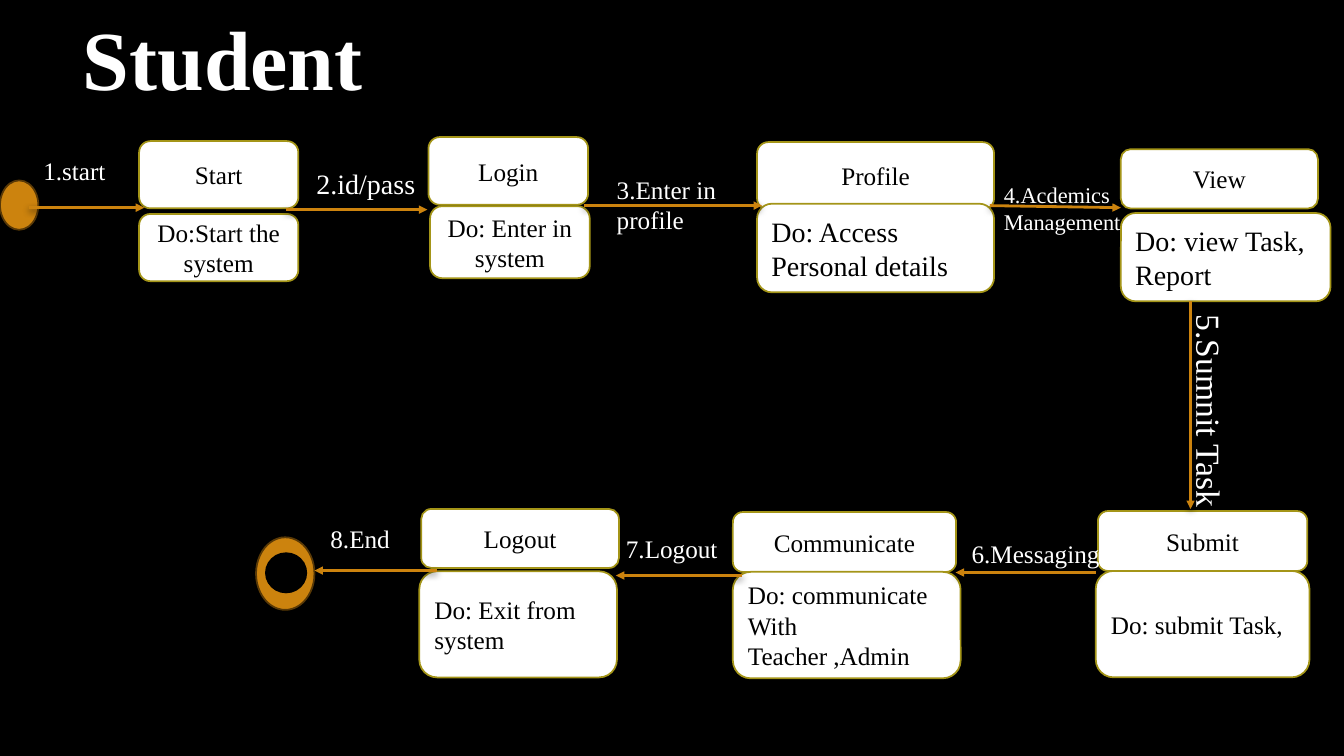
from lxml import etree
from pptx import Presentation, util as u
from pptx.dml.color import RGBColor
from pptx.enum import shapes, text
from pptx.oxml.ns import qn

BLACK = RGBColor(0x00, 0x00, 0x00)
WHITE = RGBColor(0xFF, 0xFF, 0xFF)
ORANGE = RGBColor(0xCC, 0x83, 0x0E)
BROWN = RGBColor(0x59, 0x39, 0x06)
OLIVE = RGBColor(0xA4, 0x95, 0x18)
FONT = "Times New Roman"
WIDTH, HEIGHT = u.Inches(13.333), u.Inches(7.5)
CENTER, LEFT = text.PP_ALIGN.CENTER, text.PP_ALIGN.LEFT
FULL = (0, 0, 1, 1)

# Boxes and points are percentages of the slide; parts are shares of their box.
STATES = [
    ("Start", "Do:Start the system", (10.35, 18.67, 11.85, 18.53),
     (0, 0, 1, 0.48), (0, 0.52, 1, 0.48), 18, CENTER),
    ("Login", "Do: Enter in system", (31.88, 18.13, 12, 18.67),
     (0, 0, 0.99, 0.48), (0.01, 0.49, 0.99, 0.51), 18, CENTER),
    ("Profile", "Do: Access Personal details", (56.33, 18.8, 17.63, 19.87),
     (0, 0, 1, 0.45), (0, 0.41, 1, 0.59), 20, LEFT),
    ("View", "Do: view Task, Report", (83.4, 19.73, 15.6, 20.13),
     (0, 0, 0.94, 0.39), (0, 0.42, 1, 0.58), 20, LEFT),
    ("Submit", "Do: submit Task,", (81.53, 67.6, 15.9, 22),
     (0.01, 0, 0.98, 0.36), (0, 0.36, 1, 0.64), 18, LEFT),
    ("Communicate", "Do: communicate With Teacher ,Admin", (54.53, 67.73, 16.95, 22),
     (0, 0, 0.98, 0.36), (0, 0.36, 1, 0.64), 18, LEFT),
    ("Logout", "Do: Exit from system", (31.2, 67.33, 14.85, 22.27),
     (0.01, 0, 0.99, 0.35), (0, 0.37, 0.99, 0.63), 18, LEFT),
]
TRANSITIONS = [
    ("1.start", (2.48, 19.87, 7.28, 7.73), 18, 0, (2.18, 27.47), (10.73, 27.47)),
    ("2.id/pass", (22.8, 21.33, 9.15, 5.87), 20, 0, (21.3, 27.73), (31.8, 27.73)),
    ("3.Enter in\nprofile", (45.15, 22.4, 16.8, 9.47), 18, 0, (43.43, 27.2), (56.7, 27.2)),
    ("4.Acdemics\nManagement", (73.95, 23.33, 19.8, 8.53), 16, 0, (73.65, 27.2), (83.4, 27.47)),
    ("5.Sumnit Task", (80.03, 54.67, 19.95, 6.67), 24, 90, (88.58, 39.87), (88.58, 67.33)),
    ("6.Messaging", (71.55, 70.53, 14.85, 9.47), 18, 0, (81.53, 75.73), (71.1, 75.73)),
    ("7.Logout", (45.83, 69.87, 9.6, 7.73), 18, 0, (55.2, 76.13), (45.83, 76.13)),
    ("8.End", (23.85, 68.53, 7.73, 5.33), 18, 0, (32.55, 75.47), (23.4, 75.47)),
]


def place(box, part=FULL):
    """Turn a part of a percentage box into slide lengths."""
    left, top, width, height = box
    x, y, w, h = part
    return (int(WIDTH * (left + x * width) / 100), int(HEIGHT * (top + y * height) / 100),
            int(WIDTH * w * width / 100), int(HEIGHT * h * height / 100))


def write(frame, words, size=18, color=BLACK, bold=False, align=LEFT,
          anchor=text.MSO_ANCHOR.TOP):
    """Fill a text frame with formatted paragraphs."""
    frame.text = words
    frame.word_wrap = True
    frame.auto_size = text.MSO_AUTO_SIZE.NONE
    frame.vertical_anchor = anchor
    for paragraph in frame.paragraphs:
        paragraph.alignment = align
        font = paragraph.font
        font.name, font.size, font.bold = FONT, u.Pt(size), bold
        font.color.rgb = color


def outlined(slide, kind, bounds, fill, line):
    """Draw a filled preset shape with a thin outline."""
    shape = slide.shapes.add_shape(kind, *bounds)
    shape.shadow.inherit = False
    shape.fill.solid()
    shape.fill.fore_color.rgb = fill
    shape.line.color.rgb = line
    shape.line.width = u.Pt(1.25)
    return shape


def state(slide, box, name, action, name_part, action_part, size, align):
    """Draw a state as a name box above an action box."""
    for words, part, points, side in ((name, name_part, 18, CENTER),
                                      (action, action_part, size, align)):
        card = outlined(slide, shapes.MSO_SHAPE.ROUNDED_RECTANGLE, place(box, part), WHITE, OLIVE)
        write(card.text_frame, words, points, align=side, anchor=text.MSO_ANCHOR.MIDDLE)


def marker(slide, box, hole=None):
    """Draw a start dot, or an end ring when a hole is given."""
    oval = shapes.MSO_SHAPE.OVAL
    outlined(slide, oval, place(box), ORANGE, BROWN)
    if hole:
        outlined(slide, oval, place(box, hole), BLACK, BLACK)


def arrow(slide, start, end):
    """Draw a softly shadowed arrow between two percentage points."""
    x1, y1 = place((*start, 0, 0))[:2]
    x2, y2 = place((*end, 0, 0))[:2]
    link = slide.shapes.add_connector(shapes.MSO_CONNECTOR.STRAIGHT, x1, y1, x2, y2)
    link.line.color.rgb = ORANGE
    link.line.width = u.Pt(2)
    etree.SubElement(link.line._get_or_add_ln(), qn("a:tailEnd"), type="triangle")
    effects = etree.SubElement(link._element.spPr, qn("a:effectLst"))
    shadow = etree.SubElement(effects, qn("a:outerShdw"), blurRad=str(u.Pt(5)),
                              dist=str(u.Pt(2)), dir="5400000", rotWithShape="0")
    tint = etree.SubElement(shadow, qn("a:srgbClr"), val=str(BLACK))
    etree.SubElement(tint, qn("a:alpha"), val="60000")


def label(slide, box, words, size, turn):
    """Write a transition label in its box."""
    caption = slide.shapes.add_textbox(*place(box))
    caption.rotation = turn
    write(caption.text_frame, words, size, WHITE)


def heading(slide, box, words):
    """Move and fill the title placeholder."""
    title = slide.shapes.title
    title.left, title.top, title.width, title.height = place(box)
    write(title.text_frame, words, 60, WHITE, bold=True)


def main():
    """Build the student state diagram."""
    deck = Presentation()
    deck.slide_width, deck.slide_height = WIDTH, HEIGHT
    slide = deck.slides.add_slide(deck.slide_layouts[5])
    slide.background.fill.solid()
    slide.background.fill.fore_color.rgb = BLACK
    heading(slide, (5.4, 0.13, 50, 14.8), "Student")
    marker(slide, (0, 23.87, 2.85, 6.53))
    marker(slide, (19.05, 71.07, 4.35, 9.6), hole=(0.17, 0.22, 0.69, 0.54))
    for name, action, box, name_part, action_part, size, align in STATES:
        state(slide, box, name, action, name_part, action_part, size, align)
    for *_, start, end in TRANSITIONS:
        arrow(slide, start, end)
    for words, box, size, turn, *_ in TRANSITIONS:
        label(slide, box, words, size, turn)
    deck.save("out.pptx")


if __name__ == "__main__":
    main()
